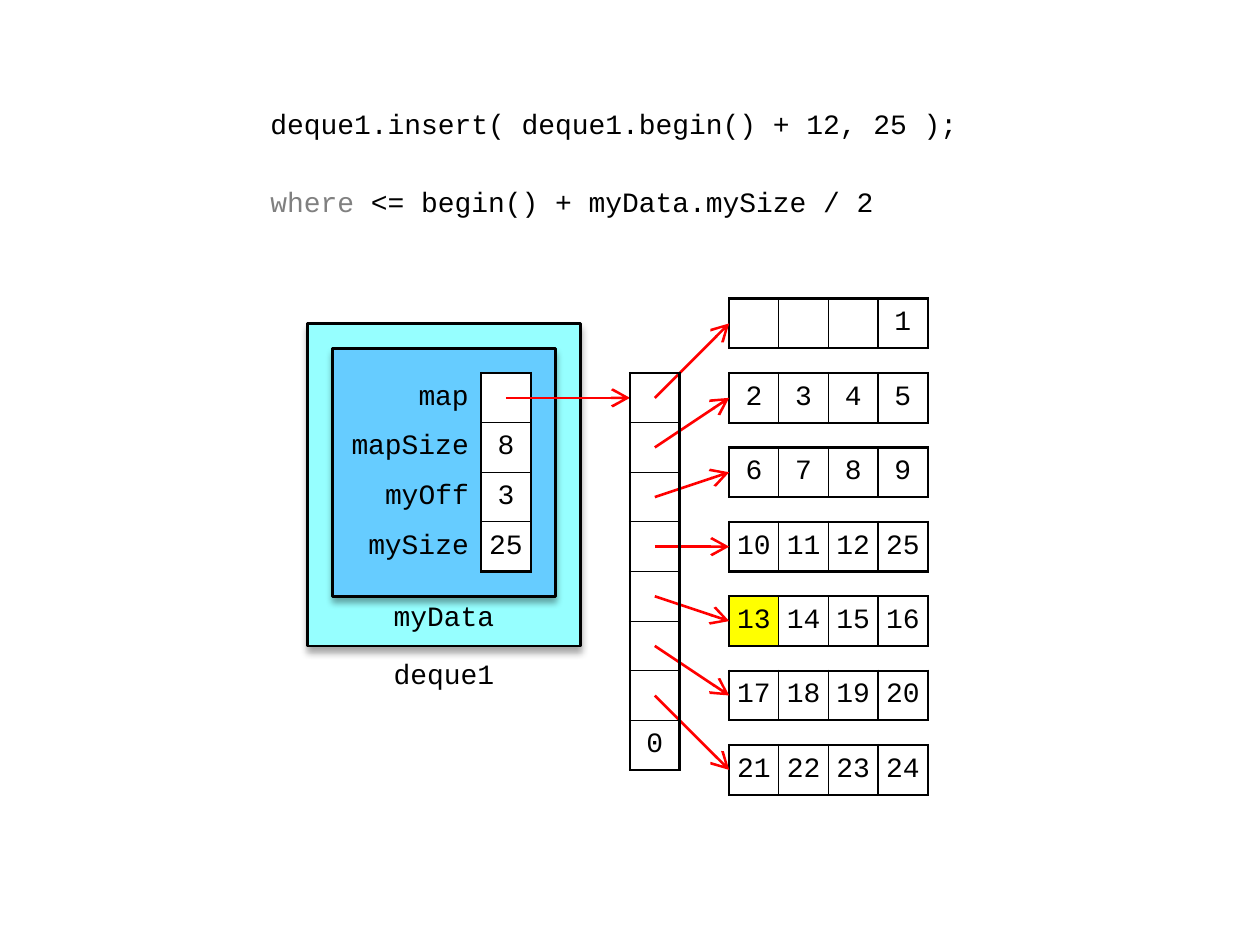
from lxml import etree
from pptx import Presentation
from pptx.dml.color import RGBColor
from pptx.enum.shapes import MSO_CONNECTOR, MSO_SHAPE
from pptx.enum.text import MSO_ANCHOR, PP_ALIGN
from pptx.oxml.ns import qn
from pptx.util import Pt

EMU_PER_PX = 3600  # 100 px make one centimetre
CELL = 100
FONT = "Courier New"
FONT_SIZE = Pt(16)
THICK, THIN = Pt(1.5), Pt(0.75)
NO_GRID_STYLE = "{2D5ABB26-0587-4C30-8999-92F81FD0307C}"

LEFT, CENTER, RIGHT = PP_ALIGN.LEFT, PP_ALIGN.CENTER, PP_ALIGN.RIGHT
TOP, MIDDLE = MSO_ANCHOR.TOP, MSO_ANCHOR.MIDDLE
BOX = MSO_SHAPE.FLOWCHART_PROCESS
STRAIGHT = MSO_CONNECTOR.STRAIGHT

COLORS = {
    "black": "000000",
    "white": "FFFFFF",
    "gray": "808080",
    "red": "FF0000",
    "yellow": "FFFF00",
    "deque": "96FFFF",
    "data": "66CCFF",
}

MEMBERS = [["map", ""], ["mapSize", "8"], ["myOff", "3"], ["mySize", "25"]]
MAP_CELLS = [[""]] * 7 + [["0"]]
CHUNKS = [
    ["", "", "", "1"],
    ["2", "3", "4", "5"],
    ["6", "7", "8", "9"],
    ["10", "11", "12", "25"],
    ["13", "14", "15", "16"],
    ["17", "18", "19", "20"],
    ["21", "22", "23", "24"],
]
INSERT_SHIFTED = "13"

RECORD_LEFT, RECORD_TOP, LABEL_WIDTH = 670, 752, 300
MAP_LEFT = 1270
CHUNK_LEFT, CHUNK_TOP, CHUNK_PITCH = 1470, 602, 150


def px(value):
    return value * EMU_PER_PX


def color(name):
    return RGBColor.from_string(COLORS[name])


def style_font(font, color_name="black"):
    font.name = FONT
    font.size = FONT_SIZE
    font.color.rgb = color(color_name)


def add_text(slide, box, lines, align=CENTER, anchor=TOP,
             inset_side=20, inset_top=10, gap=0):
    """Each line is a list of (text, color name) runs."""
    frame = slide.shapes.add_textbox(*map(px, box)).text_frame
    frame.word_wrap = True
    frame.vertical_anchor = anchor
    frame.margin_left = frame.margin_right = px(inset_side)
    frame.margin_top, frame.margin_bottom = px(inset_top), 0
    for index, line in enumerate(lines):
        paragraph = frame.add_paragraph() if index else frame.paragraphs[0]
        paragraph.alignment = align
        if index:
            paragraph.space_before = Pt(gap)
        for text, color_name in line:
            run = paragraph.add_run()
            run.text = text
            style_font(run.font, color_name)


def add_shadowed_box(slide, box, fill):
    shape = slide.shapes.add_shape(BOX, *map(px, box))
    shape.fill.solid()
    shape.fill.fore_color.rgb = color(fill)
    shape.line.color.rgb = color("black")
    shape.line.width = THICK
    shape.shadow.inherit = False
    effects = shape.element.spPr.find(qn("a:effectLst"))
    shadow = etree.SubElement(
        effects, qn("a:outerShdw"), blurRad=str(Pt(4)), dist=str(Pt(3)),
        dir="5400000", rotWithShape="0")
    shade = etree.SubElement(shadow, qn("a:srgbClr"), val=COLORS["black"])
    etree.SubElement(shade, qn("a:alpha"), val="35000")


def add_arrow(slide, start, end):
    arrow = slide.shapes.add_connector(STRAIGHT, *map(px, start + end))
    arrow.line.color.rgb = color("red")
    arrow.line.width = THICK
    properties = arrow.element.spPr
    etree.SubElement(properties.find(qn("a:ln")), qn("a:tailEnd"),
                     type="arrow", w="lg", len="lg")
    etree.SubElement(properties, qn("a:effectLst"))


def set_borders(cell, outer_sides):
    """Sides on the outline are thick, the others thin."""
    properties = cell._tc.get_or_add_tcPr()
    for side in "LRTB":
        width = THICK if side in outer_sides else THIN
        line = etree.SubElement(properties, qn("a:ln" + side), w=str(width))
        fill = etree.SubElement(line, qn("a:solidFill"))
        etree.SubElement(fill, qn("a:srgbClr"), val=COLORS["black"])


def fill_cell(cell, fill):
    if fill is None:
        cell.fill.background()
    else:
        cell.fill.solid()
        cell.fill.fore_color.rgb = color(fill)


def add_cells(slide, left, top, rows, fill="white", label_width=0):
    """A boxed grid of square cells, with a plain label column if it has a width."""
    widths = [CELL] * len(rows[0])
    if label_width:
        widths[0] = label_width
    table = slide.shapes.add_table(
        len(rows), len(widths), px(left), px(top),
        px(sum(widths)), px(CELL * len(rows))).table
    table.first_row = table.horz_banding = False
    table._tbl.tblPr.find(qn("a:tableStyleId")).text = NO_GRID_STYLE
    for column, width in zip(table.columns, widths):
        column.width = px(width)
    first_boxed = 1 if label_width else 0
    for r, row in enumerate(rows):
        table.rows[r].height = px(CELL)
        for c, text in enumerate(row):
            cell = table.cell(r, c)
            is_label = c < first_boxed
            cell.vertical_anchor = MIDDLE
            cell.margin_left = cell.margin_right = px(25 if is_label else 10)
            cell.margin_top = cell.margin_bottom = px(10)
            paragraph = cell.text_frame.paragraphs[0]
            paragraph.text = text
            paragraph.alignment = RIGHT if is_label else CENTER
            style_font(paragraph.font)
            for run in paragraph.runs:
                style_font(run.font)
            if is_label:
                fill_cell(cell, None)
                continue
            edges = {"L": c == first_boxed, "R": c == len(row) - 1,
                     "T": r == 0, "B": r == len(rows) - 1}
            set_borders(cell, [side for side, outer in edges.items() if outer])
            fill_cell(cell, "yellow" if text == INSERT_SHIFTED else fill)


def main():
    presentation = Presentation()
    presentation.slide_width, presentation.slide_height = px(2540), px(1905)
    slide = presentation.slides.add_slide(presentation.slide_layouts[6])

    # Call and its condition
    add_text(slide, (520, 202, 1500, 250), [
        [("deque1.insert( deque1.begin() + 12, 25 );", "black")],
        [("where ", "gray"), ("<= begin() + myData.mySize / 2", "black")],
    ], LEFT, inset_side=25, inset_top=13, gap=25.5)

    # Deque object with its data members
    add_shadowed_box(slide, (620, 652, 550, 650), "deque")
    add_shadowed_box(slide, (670, 702, 450, 500), "data")
    add_text(slide, (720, 1302, 350, 100), [[("deque1", "black")]], anchor=MIDDLE)
    add_text(slide, (770, 1202, 250, 100), [[("myData", "black")]], inset_top=5)
    add_cells(slide, RECORD_LEFT, RECORD_TOP, MEMBERS, label_width=LABEL_WIDTH)

    # Pointer to the map, then chunks with a pointer from the map to each
    half = CELL // 2
    first_y = RECORD_TOP + half
    add_arrow(slide, (RECORD_LEFT + LABEL_WIDTH + half, first_y), (MAP_LEFT, first_y))
    for index, chunk in enumerate(CHUNKS):
        top = CHUNK_TOP + index * CHUNK_PITCH
        add_cells(slide, CHUNK_LEFT, top, [chunk])
        add_arrow(slide, (MAP_LEFT + half, first_y + index * CELL),
                  (CHUNK_LEFT, top + half))

    # Map, unfilled so that the pointers show through
    add_cells(slide, MAP_LEFT, RECORD_TOP, MAP_CELLS, fill=None)

    presentation.save("out.pptx")


if __name__ == "__main__":
    main()
